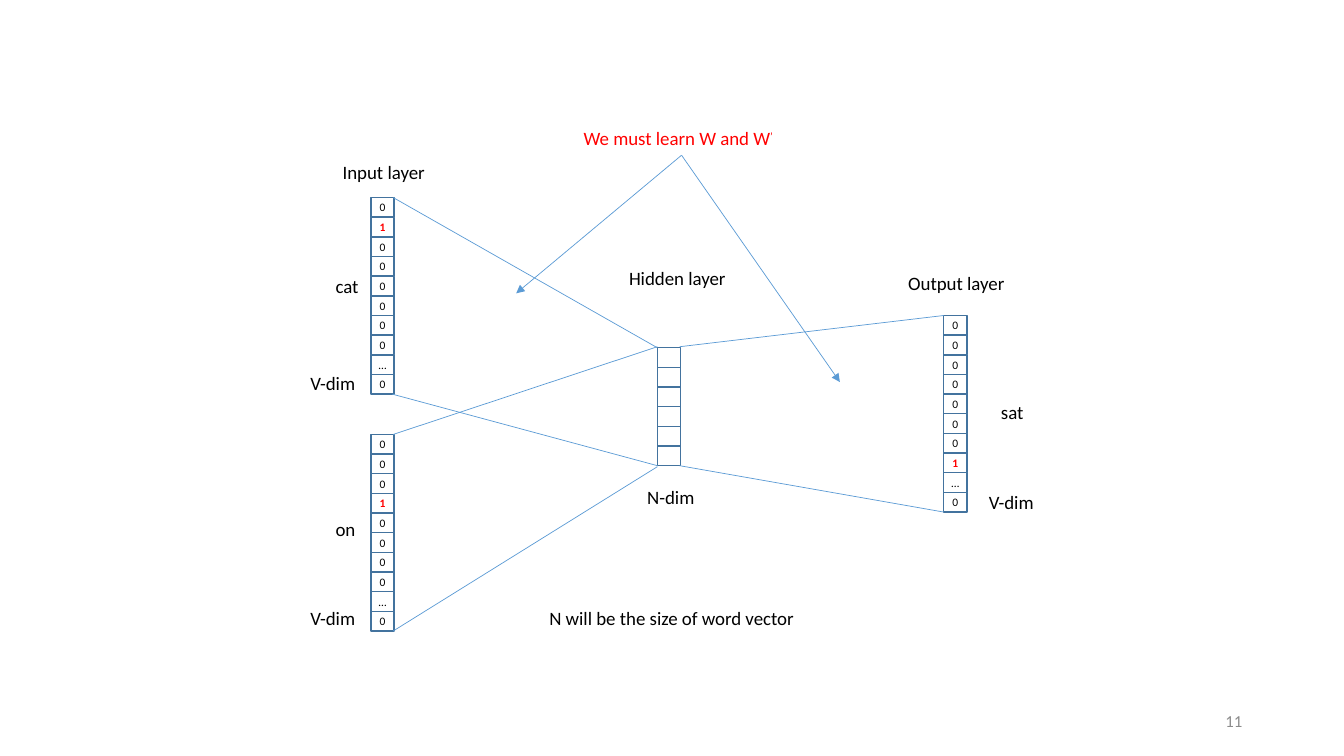
import pptx
import pptx.util
import pptx.dml.color
import pptx.enum.text
import pptx.enum.shapes
import pptx.oxml.ns
import lxml.etree

Inches = pptx.util.Inches
Pt = pptx.util.Pt
ALIGN = pptx.enum.text.PP_ALIGN
MIDDLE = pptx.enum.text.MSO_ANCHOR.MIDDLE
qn = pptx.oxml.ns.qn
COLORS = {"ink": "000000", "red": "FF0000", "edge": "43739E",
          "link": "5B9BD5", "page": "8C8C8C"}


def tint(name):
    return pptx.dml.color.RGBColor.from_string(COLORS[name])


def write(frame, text, size, color, align):
    frame.word_wrap = False
    para = frame.paragraphs[0]
    para.add_run().text = text
    para.alignment = align
    para.font.name = "Calibri"
    para.font.size = Pt(size)
    para.font.color.rgb = tint(color)
    return para


deck = pptx.Presentation()
deck.slide_width = Inches(13.33)
deck.slide_height = Inches(7.5)
slide = deck.slides.add_slide(deck.slide_layouts[6])
shapes = slide.shapes

page = shapes.add_textbox(Inches(9.42), Inches(6.95), Inches(3), Inches(0.4))
page.text_frame.vertical_anchor = MIDDLE
write(page.text_frame, "11", 12, "page", ALIGN.RIGHT)
page.text_frame.word_wrap = True

STEP = 1.95 / 10
vectors = [
    (3.68, 1.96, "01000000…0"),
    (3.68, 4.31, "00010000…0"),
    (6.52, 3.45, " " * 6),
    (9.36, 3.13, "00000001…0"),
]
for left, top, marks in vectors:
    group = shapes.add_group_shape()
    for row, mark in enumerate(marks.strip() or [""] * len(marks)):
        cell = group.shapes.add_shape(
            pptx.enum.shapes.MSO_SHAPE.RECTANGLE,
            Inches(left), Inches(top + row * STEP), Inches(0.23), Inches(STEP))
        cell.shadow.inherit = False
        cell.fill.background()
        cell.line.color.rgb = tint("edge")
        cell.line.width = Pt(1)
        if mark:
            frame = cell.text_frame
            frame.margin_left = frame.margin_right = 0
            frame.margin_top = frame.margin_bottom = 0
            frame.vertical_anchor = MIDDLE
            hot = mark == "1"
            para = write(frame, mark, 8.2, "red" if hot else "ink", ALIGN.CENTER)
            para.font.bold = hot

labels = [
    ("Input layer", 3.3, 1.54, 1.03),
    ("cat", 3.23, 2.68, 0.43),
    ("V-dim", 2.98, 3.64, 0.66),
    ("on", 3.23, 5.09, 0.4),
    ("V-dim", 2.98, 5.97, 0.66),
    ("Hidden layer", 6.14, 2.6, 1.18),
    ("N-dim", 6.32, 4.77, 0.68),
    ("Output layer", 8.91, 2.65, 1.17),
    ("sat", 9.83, 3.93, 0.43),
    ("V-dim", 9.71, 4.82, 0.66),
    ("N will be the size of word vector", 5.35, 5.97, 2.66),
    ("We must learn W and W", 5.69, 1.21, 2.15),
]
for text, left, top, width in labels:
    box = shapes.add_textbox(Inches(left), Inches(top), Inches(width), Inches(0.33))
    box.text_frame.auto_size = pptx.enum.text.MSO_AUTO_SIZE.SHAPE_TO_FIT_TEXT
    learn = text.startswith("We must")
    para = write(box.text_frame, text, 13.5, "red" if learn else "ink", ALIGN.LEFT)
    if learn:
        prime = para.add_run()
        prime.text = "’"
        prime.font._element.set("baseline", "30000")

links = [
    (3.9, 1.96, 6.52, 3.45, False),
    (3.9, 4.31, 6.52, 3.44, False),
    (3.89, 3.91, 6.52, 4.62, False),
    (3.9, 6.26, 6.52, 4.63, False),
    (6.74, 3.44, 9.36, 3.13, False),
    (6.74, 4.62, 9.36, 5.08, False),
    (6.76, 1.54, 5.12, 2.91, True),
    (6.76, 1.54, 8.33, 3.79, True),
]
for x1, y1, x2, y2, arrow in links:
    link = shapes.add_connector(
        pptx.enum.shapes.MSO_CONNECTOR.STRAIGHT,
        Inches(x1), Inches(y1), Inches(x2), Inches(y2))
    link.line.color.rgb = tint("link")
    link.line.width = Pt(0.5)
    if arrow:
        lxml.etree.SubElement(link.line._get_or_add_ln(), qn("a:tailEnd"), type="triangle")
    lxml.etree.SubElement(link._element.spPr, qn("a:effectLst"))

deck.save("out.pptx")
